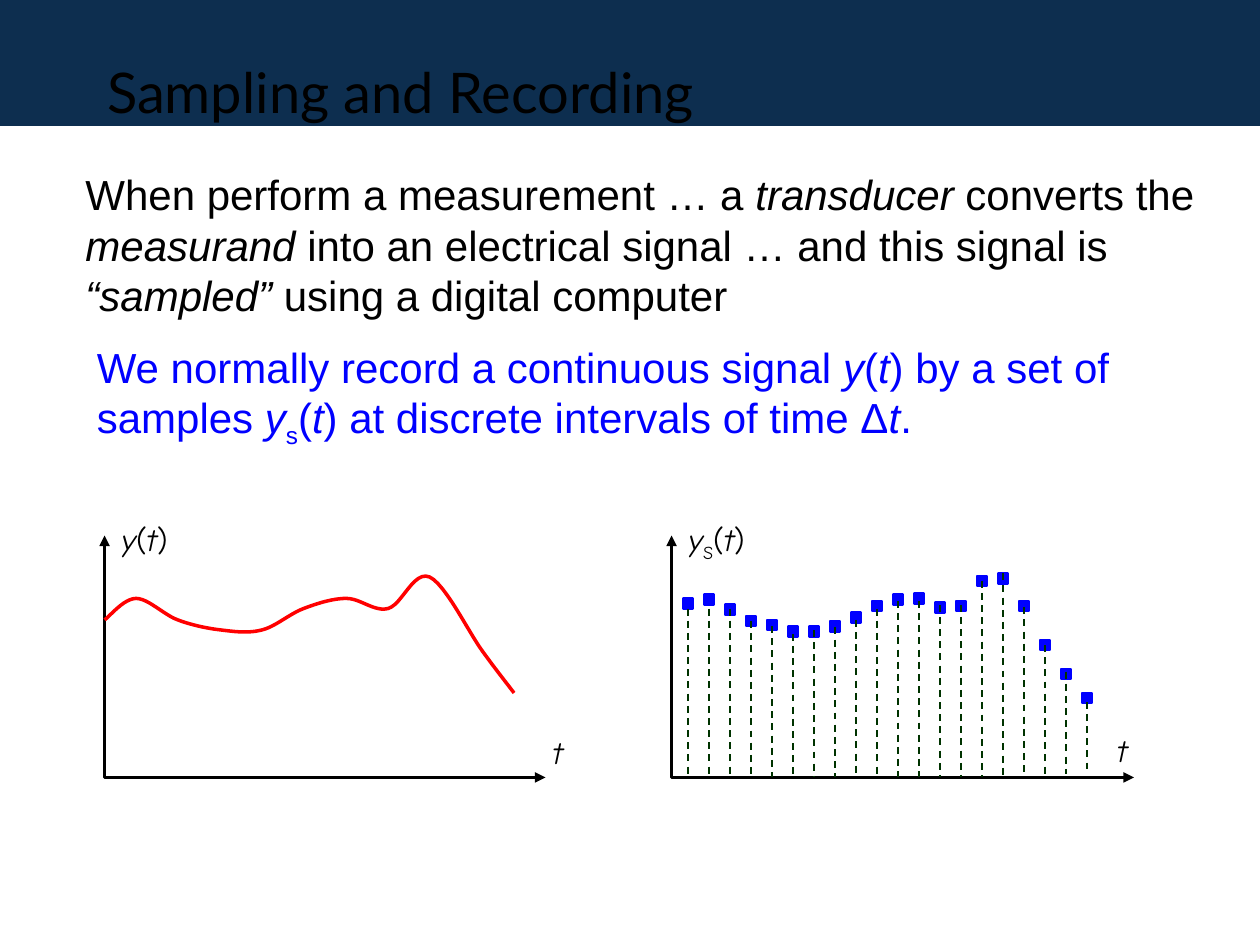
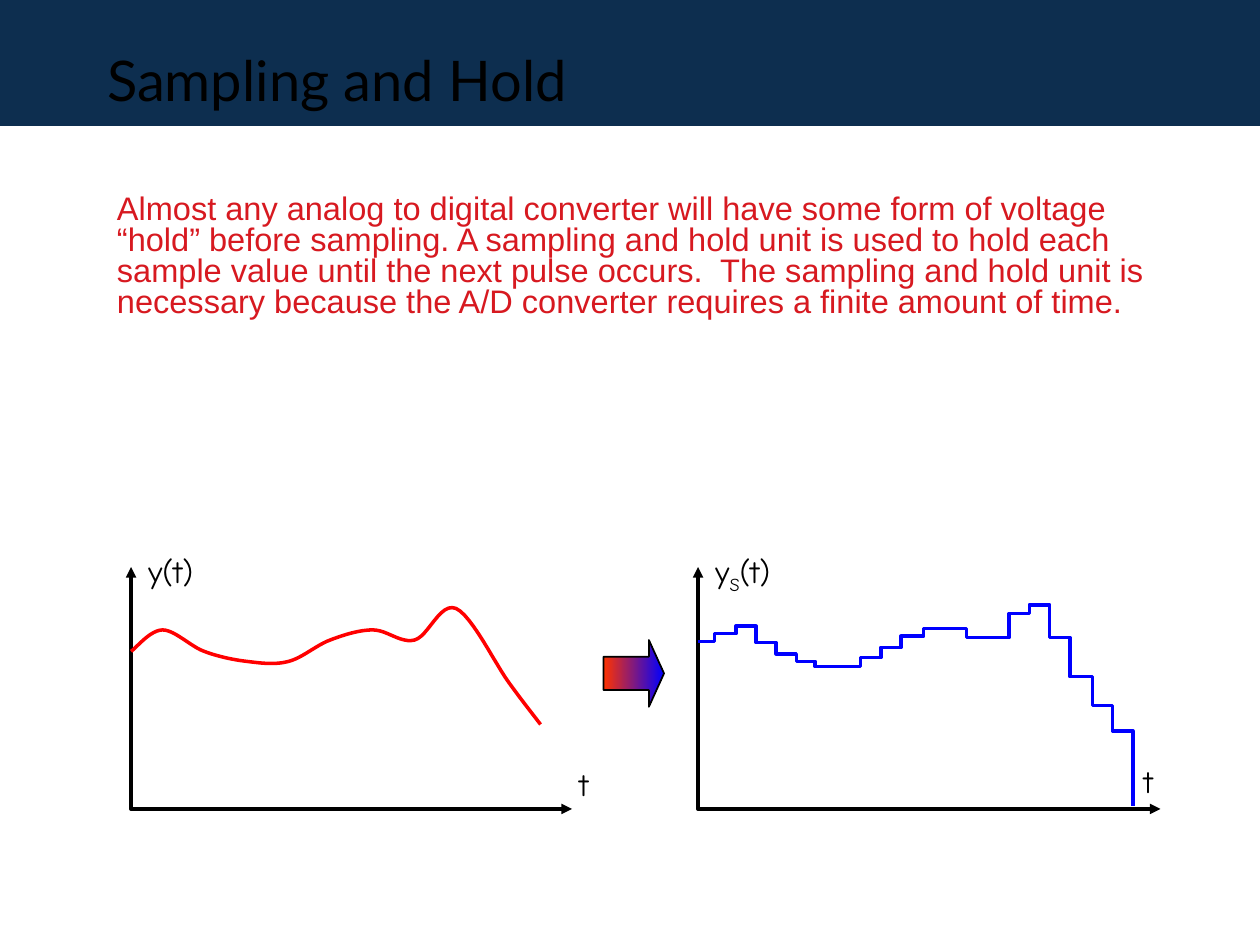
from dataclasses import dataclass
from itertools import pairwise
from typing import NamedTuple

from lxml.etree import SubElement
from pptx import Presentation
from pptx.dml.color import RGBColor
from pptx.enum.dml import MSO_LINE
from pptx.enum.shapes import MSO_CONNECTOR, MSO_SHAPE
from pptx.enum.text import MSO_ANCHOR, MSO_AUTO_SIZE, PP_ALIGN
from pptx.oxml.ns import qn
from pptx.util import Inches, Pt


@dataclass(frozen=True)
class Theme:
    band: str = "0D2E4F"
    ink: str = "000000"
    blue: str = "0000FF"
    red: str = "FF0000"
    flame: str = "FF3300"
    brick: str = "D71920"
    green: str = "003300"
    head: str = "Lato"
    body: str = "Arial"
    hand: str = "Comic Neue"
    title: float = 32
    large: float = 24
    small: float = 18.6
    label: float = 18


class Box(NamedTuple):
    x: float
    y: float
    w: float
    h: float


class Point(NamedTuple):
    x: float
    y: float


class Sample(NamedTuple):
    mark: float
    stem: float


class Plot(NamedTuple):
    """Axes with their top left corner, width and labels."""
    x: float
    y: float
    w: float
    name: str
    time: str
    name_w: float
    name_h: float
    time_at: Point


THEME = Theme()
AXIS = 1.92
STEP = 1 / 6
SIDE = 0.08

# All heights below are measured down from the top of a plot.
KNOTS = [Point(*p) for p in (
    (0, 0.67), (0.25, 0.5), (0.58, 0.67), (0.92, 0.75), (1.25, 0.75), (1.58, 0.58),
    (1.92, 0.5), (2.25, 0.58), (2.58, 0.33), (3, 0.92), (3.25, 1.25))]
SAMPLES = [Sample(*s) for s in (
    (0.5, 0.58), (0.47, 0.58), (0.55, 0.58), (0.64, 0.68), (0.67, 0.72),
    (0.72, 0.78), (0.72, 0.75), (0.68, 0.73), (0.61, 0.67), (0.52, 0.58),
    (0.47, 0.52), (0.46, 0.52), (0.53, 0.55), (0.52, 0.55), (0.32, 0.36),
    (0.3, 0.3), (0.52, 0.57), (0.83, 0.87), (1.06, 1.08), (1.25, 1.32))]
HOLDS = [Point(*p) for p in (
    (0, 0.59), (0.13, 0.53), (0.3, 0.47), (0.46, 0.6), (0.62, 0.69), (0.78, 0.75),
    (0.93, 0.79), (1.29, 0.72), (1.45, 0.64), (1.61, 0.55), (1.79, 0.49),
    (2.13, 0.56), (2.47, 0.37), (2.63, 0.3), (2.79, 0.56), (2.95, 0.87),
    (3.13, 1.1), (3.29, 1.3), (3.45, 1.9))]


def rgb(code: str) -> RGBColor:
    return RGBColor.from_string(code)


def place(shape, box: Box) -> None:
    shape.left, shape.top, shape.width, shape.height = map(Inches, box)


def write(shape, text: str, *, font: str, size: float, color: str = THEME.ink,
          wrap: bool = True, space: float | None = None, anchor=MSO_ANCHOR.TOP) -> None:
    """Fill a shape with text; *stars* mark italics and ~tildes~ a subscript."""
    frame = shape.text_frame
    frame.word_wrap = wrap
    frame.auto_size = MSO_AUTO_SIZE.NONE
    frame.vertical_anchor = anchor
    para = frame.paragraphs[0]
    para.alignment = PP_ALIGN.LEFT
    para.line_spacing = space
    for i, part in enumerate(text.split("*")):
        for j, piece in enumerate(part.split("~")):
            if not piece:
                continue
            run = para.add_run()
            run.text = piece
            run.font.name = font
            run.font.size = Pt(size)
            run.font.color.rgb = rgb(color)
            run.font.italic = i % 2 == 1
            if j % 2:
                run._r.get_or_add_rPr().set("baseline", "-25000")


def note(slide, box: Box, text: str, **look) -> None:
    write(slide.shapes.add_textbox(*map(Inches, box)), text, **look)


def block(slide, kind, box: Box, fill: str, line: str | None = None, width: float = 1):
    shape = slide.shapes.add_shape(kind, *map(Inches, box))
    shape.shadow.inherit = False
    shape.fill.solid()
    shape.fill.fore_color.rgb = rgb(fill)
    if line:
        shape.line.color.rgb = rgb(line)
        shape.line.width = Pt(width)
    else:
        shape.line.fill.background()
    return shape


def trace(slide, plot: Plot, points: list[Point], color: str):
    """Draw an open outline through points given relative to the plot."""
    spots = [(Inches(plot.x + p.x), Inches(plot.y + p.y)) for p in points]
    pen = slide.shapes.build_freeform(*spots[0])
    pen.add_line_segments(spots[1:], close=False)
    shape = pen.convert_to_shape()
    shape.shadow.inherit = False
    shape.fill.background()
    shape.line.color.rgb = rgb(color)
    shape.line.width = Pt(2)
    return shape


def smooth(knots: list[Point], parts: int = 12) -> list[Point]:
    """Return points on a Catmull-Rom curve through the knots."""
    ends = [knots[0], *knots, knots[-1]]
    curve = [knots[0]]
    for a, b, c, d in zip(ends, ends[1:], ends[2:], ends[3:]):
        for k in range(1, parts + 1):
            t = k / parts
            curve.append(Point(*(
                q + t / 2 * (r - p + t * (2 * p - 5 * q + 4 * r - s
                                          + t * (3 * q - p - 3 * r + s)))
                for p, q, r, s in zip(a, b, c, d))))
    return curve


def stairs(holds: list[Point]) -> list[Point]:
    treads = [p for a, b in pairwise(holds) for p in (a, Point(b.x, a.y))]
    return [*treads, holds[-1]]


def axes(slide, plot: Plot) -> None:
    corner = [Point(0, 0), Point(0, AXIS), Point(plot.w, AXIS)]
    line = trace(slide, plot, corner, THEME.ink).line
    for end in ("headEnd", "tailEnd"):
        SubElement(line._get_or_add_ln(), qn(f"a:{end}"), type="triangle")
    look = dict(font=THEME.hand, size=THEME.label, wrap=False)
    note(slide, Box(plot.x + 0.04, plot.y - 0.17, plot.name_w, plot.name_h),
         plot.name, **look)
    note(slide, Box(plot.x + plot.time_at.x, plot.y + plot.time_at.y, 0.28, 0.4),
         plot.time, **look)


def stem(slide, x: float, top: float, foot: float) -> None:
    line = slide.shapes.add_connector(
        MSO_CONNECTOR.STRAIGHT, *map(Inches, (x, top, x, foot)))
    line.line.color.rgb = rgb(THEME.green)
    line.line.width = Pt(1)
    line.line.dash_style = MSO_LINE.DASH
    SubElement(line.element.spPr, qn("a:effectLst"))


def pulses(slide, plot: Plot) -> None:
    """Draw each sample as a square on a dashed stem."""
    for i, sample in enumerate(SAMPLES):
        box = Box(plot.x + 0.09 + i * STEP, plot.y + sample.mark, SIDE, SIDE)
        block(slide, MSO_SHAPE.RECTANGLE, box, THEME.blue, THEME.blue, 1.5)
    for i, sample in enumerate(SAMPLES):
        foot = AXIS if i < 16 else AXIS - 0.03
        stem(slide, plot.x + 0.13 + i * STEP, plot.y + sample.stem, plot.y + foot)


def pair(slide, x: float, y: float, names: tuple[str, str], time: str) -> Plot:
    """Draw the signal plot and the axes beside it, which are returned."""
    left = Plot(x, y, 3.5, names[0], time, 0.56, 0.4, Point(3.46, 1.52))
    right = Plot(x + 4.5, y, 3.67, names[1], time, 0.64, 0.44, Point(3.44, 1.5))
    axes(slide, left)
    trace(slide, left, smooth(KNOTS), THEME.red)
    axes(slide, right)
    return right


def start(deck, title: str, top: float):
    slide = deck.slides.add_slide(deck.slide_layouts[5])
    head = slide.shapes.title
    place(head, Box(0.75, top, 8.5, 1.25))
    write(head, title, font=THEME.head, size=THEME.title, anchor=MSO_ANCHOR.MIDDLE)
    return slide


def band(slide) -> None:
    """Put the top band on the layout, so that every slide shows it."""
    shape = block(slide, MSO_SHAPE.RECTANGLE, Box(0, 0, 10, 1), THEME.band)
    slide.slide_layout.shapes.element.insert(2, shape.element)


def record(deck) -> None:
    slide = start(deck, "Sampling and Recording", 0.1)
    band(slide)
    note(slide, Box(0.67, 2.66, 8.58, 1.63),
         "We normally record a continuous signal *y*(*t*) by a set of samples "
         "*y*~s~(*t*) at discrete intervals of time Δ*t*.",
         font=THEME.body, size=THEME.large, color=THEME.blue)
    right = pair(slide, 0.83, 4.25, ("*y*(*t*)", "*y*~S~(*t*)"), "*t*")
    pulses(slide, right)
    note(slide, Box(0.58, 1.29, 9.42, 1.3),
         "When perform a measurement … a *transducer* converts the *measurand *into "
         "an electrical signal … and this signal is *“sampled”* using a digital computer",
         font=THEME.body, size=THEME.large)


def hold(deck) -> None:
    slide = start(deck, "Sampling and Hold", 0)
    note(slide, Box(0.83, 1.5, 8.58, 1.63),
         "Almost any analog to digital converter will have some form of voltage “hold” "
         "before sampling. A sampling and hold unit is used to hold each sample value "
         "until the next pulse occurs.  The sampling and hold unit is necessary because "
         "the A/D converter requires a finite amount of time.",
         font=THEME.body, size=THEME.small, color=THEME.brick, space=0.8)
    right = pair(slide, 1.04, 4.5, ("y(t)", "y~S~(t)"), "t")
    trace(slide, right, stairs(HOLDS), THEME.blue)
    arrow = block(slide, MSO_SHAPE.RIGHT_ARROW, Box(4.79, 5.08, 0.48, 0.53),
                  THEME.flame, THEME.ink)
    arrow.adjustments[0], arrow.adjustments[1] = 0.5, 0.25
    arrow.fill.gradient()
    arrow.fill.gradient_angle = 0
    for i, color in enumerate((THEME.flame, THEME.blue)):
        stop = arrow.fill.gradient_stops[i]
        stop.position = i
        stop.color.rgb = rgb(color)


def main() -> None:
    deck = Presentation()
    deck.slide_width, deck.slide_height = Inches(10), Inches(7.5)
    record(deck)
    hold(deck)
    deck.save("out.pptx")


if __name__ == "__main__":
    main()
